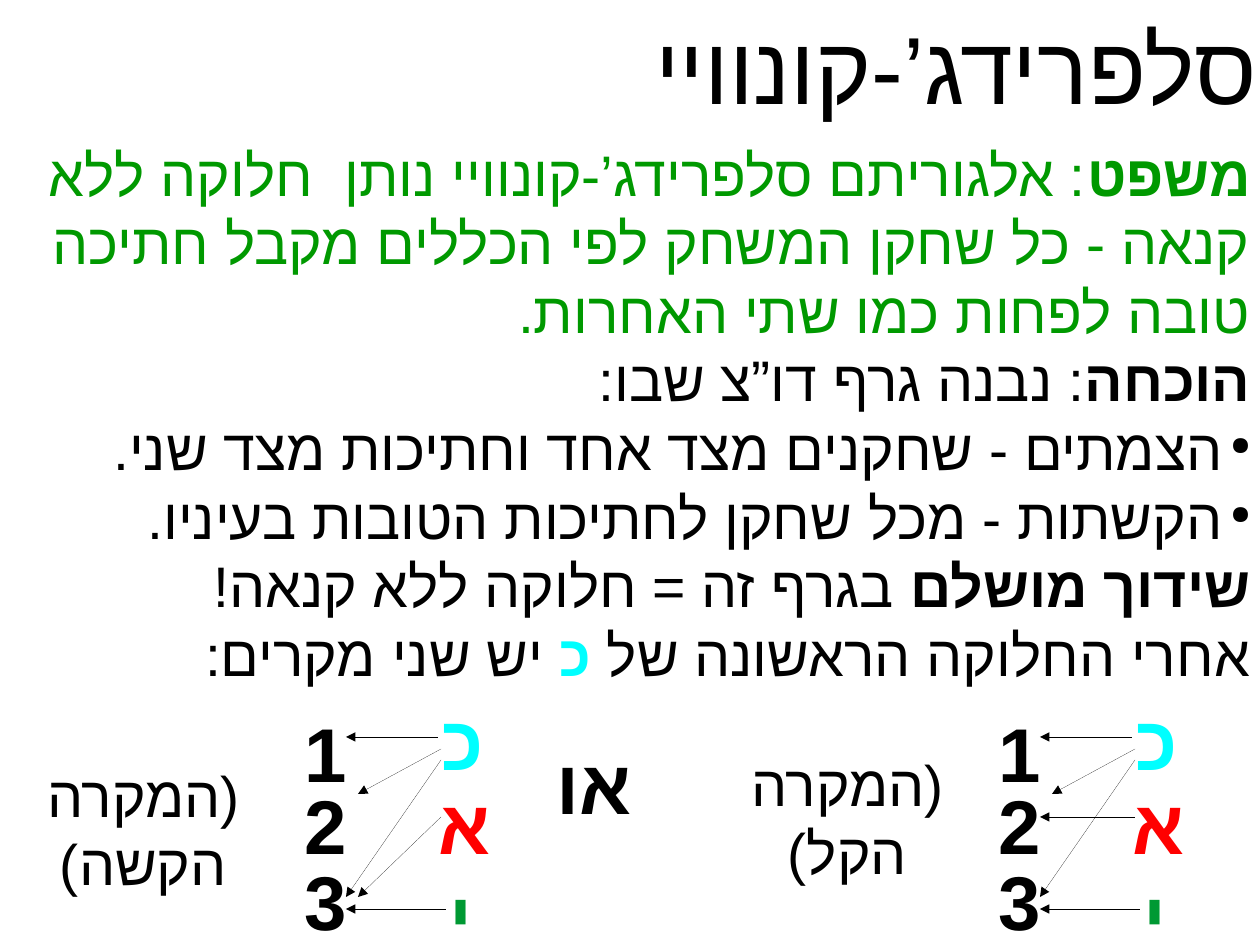
import dataclasses

import pptx
import pptx.dml.color
import pptx.enum.shapes
import pptx.enum.text
import pptx.oxml
import pptx.oxml.ns
import pptx.util

PX = 8000
RIGHT = pptx.enum.text.PP_ALIGN.RIGHT
CENTER = pptx.enum.text.PP_ALIGN.CENTER


@dataclasses.dataclass(frozen=True)
class Theme:
    """Font, colours and type sizes of the slide."""
    font: str = "Arial"
    black: str = "000000"
    theorem: str = "009900"
    cyan: str = "00FFFF"
    red: str = "FF0000"
    green: str = "009933"
    title: int = 60
    body: int = 36
    node: int = 48


T = Theme()

BODY = [
    (False, [("משפט", T.theorem, True),
             (": אלגוריתם סלפרידג’-קונוויי נותן  חלוקה ללא קנאה - כל שחקן המשחק "
              "לפי הכללים מקבל חתיכה טובה לפחות כמו שתי האחרות.", T.theorem, False)]),
    (False, [("הוכחה", T.black, True), (": נבנה גרף דו”צ שבו:", T.black, False)]),
    (True, [("הצמתים - שחקנים מצד אחד וחתיכות מצד שני.", T.black, False)]),
    (True, [("הקשתות - מכל שחקן לחתיכות הטובות בעיניו.", T.black, False)]),
    (False, [("שידוך מושלם", T.black, True),
             (" בגרף זה = חלוקה ללא קנאה!", T.black, False)]),
    (False, [("אחרי החלוקה הראשונה של ", T.black, False), ("כ", T.cyan, True),
             (" יש שני מקרים:", T.black, False)]),
]

PLAYERS = [("א", T.red, 144, 772, 61), ("כ", T.cyan, 144, 688, 54),
           ("י", T.green, 149, 864, 38)]
PIECES = [("1", 700), ("2", 772), ("3", 848)]
SHARED_EDGES = [(144, 749, 61, 794), (144, 760, 49, 897),
                (141, 737, 49, 737), (149, 909, 49, 909)]
EASY_EDGE = (144, 817, 49, 817)
HARD_EDGE = (144, 817, 61, 897)


def px(*lengths):
    """Turn px lengths into EMU."""
    return [pptx.util.Emu(n * PX) for n in lengths]


def add_run(p, text, size, color, bold):
    """Add one formatted run to a paragraph."""
    r = p.add_run()
    r.text = text
    r.font.size = pptx.util.Pt(size)
    r.font.bold = bold
    r.font.color.rgb = pptx.dml.color.RGBColor.from_string(color)
    r.font.name = T.font
    cs = pptx.oxml.parse_xml(f'<a:cs {pptx.oxml.ns.nsdecls("a")} typeface="{T.font}"/>')
    r.font._element.append(cs)


def set_rtl(p, align):
    """Make a paragraph run from right to left."""
    p.alignment = align
    p._p.get_or_add_pPr().set("rtl", "1")


def add_bullet(p):
    """Give a paragraph a small round bullet and a hanging indent."""
    pPr = p._p.get_or_add_pPr()
    pPr.set("marL", str(27 * PX))
    pPr.set("indent", str(-27 * PX))
    ns = pptx.oxml.ns.nsdecls("a")
    for xml in (f'<a:buClr {ns}><a:srgbClr val="{T.black}"/></a:buClr>',
                f'<a:buSzPct {ns} val="45000"/>',
                f'<a:buChar {ns} char="●"/>'):
        pPr.append(pptx.oxml.parse_xml(xml))


def add_title(s, text):
    """Move, format and fill the title placeholder."""
    sp = s.shapes.title
    sp.left, sp.top, sp.width, sp.height = px(23, 6, 1246, 120)
    tf = sp.text_frame
    tf.margin_left = tf.margin_top = tf.margin_bottom = 0
    tf.margin_right = px(11)[0]
    tf.vertical_anchor = pptx.enum.text.MSO_ANCHOR.MIDDLE
    tf.auto_size = pptx.enum.text.MSO_AUTO_SIZE.NONE
    set_rtl(tf.paragraphs[0], RIGHT)
    add_run(tf.paragraphs[0], text, T.title, T.black, False)


def add_text(s, box, paragraphs, size, align=RIGHT, margin_top=6):
    """Add a wrapped text box of right-to-left paragraphs."""
    tf = s.shapes.add_textbox(*px(*box)).text_frame
    tf.word_wrap = True
    tf.margin_top = px(margin_top)[0]
    for i, (bulleted, runs) in enumerate(paragraphs):
        p = tf.add_paragraph() if i else tf.paragraphs[0]
        set_rtl(p, align)
        if bulleted:
            add_bullet(p)
        for text, color, bold in runs:
            add_run(p, text, size, color, bold)


def add_label(s, box, text, size, color=T.black, bold=False, align=CENTER, margin_top=6):
    """Add a text box holding a single run."""
    add_text(s, box, [(False, [(text, color, bold)])], size, align, margin_top)


def add_arrow(s, x1, y1, x2, y2):
    """Add a hairline arrow between two points."""
    line = s.shapes.add_connector(pptx.enum.shapes.MSO_CONNECTOR.STRAIGHT,
                                  *px(x1, y1, x2, y2))
    line.line.color.rgb = pptx.dml.color.RGBColor.from_string(T.black)
    ns = pptx.oxml.ns.nsdecls("a")
    ln = line.line._get_or_add_ln()
    ln.set("w", "0")
    ln.append(pptx.oxml.parse_xml(f'<a:tailEnd {ns} type="triangle"/>'))
    line._element.spPr.append(pptx.oxml.parse_xml(f'<a:effectLst {ns}/>'))


def add_graph(s, left, extra_edge):
    """Add a graph from players to the pieces they prefer."""
    for text, color, dx, y, w in PLAYERS:
        add_label(s, (left + dx, y, w, 99), text, T.node, color, True, RIGHT)
    for text, y in PIECES:
        add_label(s, (left, y, 61, 99), text, T.node, T.black, True, RIGHT)
    for x1, y1, x2, y2 in [extra_edge, *SHARED_EDGES]:
        add_arrow(s, left + x1, y1, left + x2, y2)


def main():
    """Build and save the slide."""
    prs = pptx.Presentation()
    prs.slide_width, prs.slide_height = px(1260, 945)
    s = prs.slides.add_slide(prs.slide_layouts[5])
    add_title(s, "סלפרידג’-קונוויי")
    add_text(s, (0, 133, 1262, 810), BODY, T.body)
    add_graph(s, 991, EASY_EDGE)
    add_label(s, (537, 732, 114, 99), "או", T.node, bold=True)
    add_graph(s, 297, HARD_EDGE)
    add_label(s, (732, 743, 231, 149), "(המקרה הקל)", T.body)
    add_label(s, (13, 686, 261, 203), "(המקרה הקשה)", T.body, margin_top=74)
    prs.save("out.pptx")


if __name__ == "__main__":
    main()
